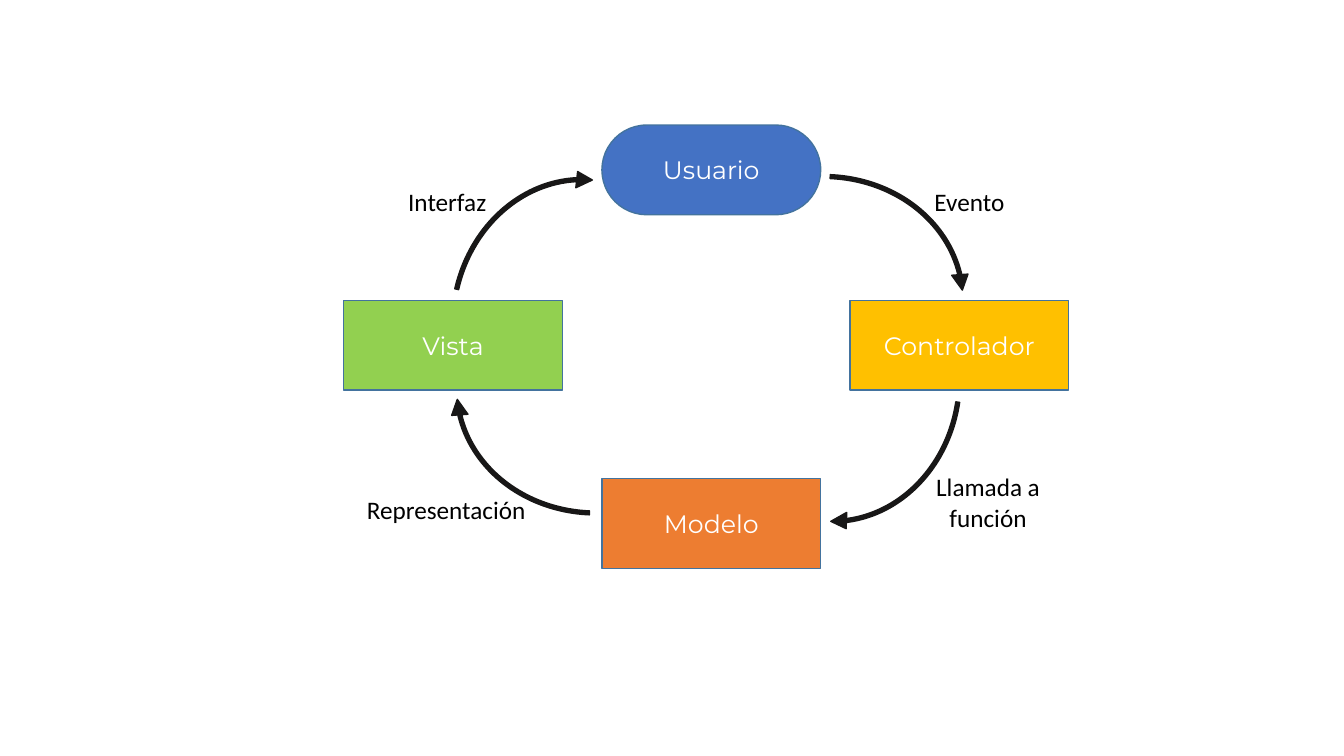
"""Draw the cycle between user, controller, model and view."""
from dataclasses import dataclass

from pptx import Presentation
from pptx.dml.color import RGBColor
from pptx.enum.shapes import MSO_SHAPE
from pptx.enum.text import MSO_ANCHOR, MSO_AUTO_SIZE, PP_ALIGN
from pptx.shapes.autoshape import Shape
from pptx.slide import Slide
from pptx.text.text import TextFrame
from pptx.util import Inches, Pt

WHITE = RGBColor(0xFF, 0xFF, 0xFF)
BLACK = RGBColor(0x00, 0x00, 0x00)
INK = RGBColor(0x18, 0x17, 0x17)
OUTLINE = RGBColor(0x43, 0x73, 0x9E)
BLUE = RGBColor(0x44, 0x72, 0xC4)
GREEN = RGBColor(0x92, 0xD0, 0x50)
YELLOW = RGBColor(0xFF, 0xC0, 0x00)
ORANGE = RGBColor(0xED, 0x7D, 0x31)

NODE_WIDTH, NODE_HEIGHT = 2.17, 0.89
ARROW_WIDTH, ARROW_HEIGHT = 2.92, 2.61
ARROW_THICKNESS, ARROW_HEAD = 1.5 / 100, 3.1 / 100
HEAD_DEGREES, END_DEGREES, START_DEGREES = 6.46, 349.51, 273.02
ADJUSTMENT_PER_DEGREE = 0.6


@dataclass(frozen=True)
class Node:
    text: str
    left: float
    top: float
    color: RGBColor
    preset: MSO_SHAPE = MSO_SHAPE.RECTANGLE


@dataclass(frozen=True)
class Arrow:
    left: float
    top: float
    rotation: float


@dataclass(frozen=True)
class Label:
    text: str
    left: float
    top: float
    width: float
    height: float = 0.4
    alignment: PP_ALIGN = PP_ALIGN.LEFT


NODES = [
    Node("Vista", 3.41, 2.98, GREEN),
    Node("Controlador", 8.43, 2.98, YELLOW),
    Node("Modelo", 5.97, 4.75, ORANGE),
    Node("Usuario", 5.97, 1.24, BLUE, MSO_SHAPE.ROUNDED_RECTANGLE),
]
ARROWS = [
    Arrow(6.71, 1.67, 0),
    Arrow(6.83, 2.49, 96.1),
    Arrow(4.45, 2.56, 180),
    Arrow(4.26, 1.85, 280.5),
]
LABELS = [
    Label("Interfaz", 3.95, 1.8, 0.98),
    Label("Evento", 9.17, 1.8, 0.9),
    Label("Llamada a\nfunción", 9.18, 4.63, 1.24, 0.71, PP_ALIGN.CENTER),
    Label("Representación", 3.54, 4.85, 1.79),
]


def write_text(text_frame: TextFrame, text: str, font_name: str,
               color: RGBColor, alignment: PP_ALIGN) -> None:
    text_frame.text = text
    for paragraph in text_frame.paragraphs:
        paragraph.alignment = alignment
        for run in paragraph.runs:
            run.font.name = font_name
            run.font.size = Pt(18)
            run.font.color.rgb = color


def paint(shape: Shape, fill: RGBColor, line: RGBColor) -> None:
    shape.shadow.inherit = False
    shape.fill.solid()
    shape.fill.fore_color.rgb = fill
    shape.line.color.rgb = line
    shape.line.width = Pt(1)


def add_node(slide: Slide, node: Node) -> None:
    shape = slide.shapes.add_shape(
        node.preset, Inches(node.left), Inches(node.top),
        Inches(NODE_WIDTH), Inches(NODE_HEIGHT))
    if node.preset == MSO_SHAPE.ROUNDED_RECTANGLE:
        shape.adjustments[0] = 0.5
    paint(shape, node.color, OUTLINE)
    shape.text_frame.vertical_anchor = MSO_ANCHOR.MIDDLE
    write_text(shape.text_frame, node.text, "Montserrat", WHITE, PP_ALIGN.CENTER)


def add_arrow(slide: Slide, arrow: Arrow) -> None:
    shape = slide.shapes.add_shape(
        MSO_SHAPE.CIRCULAR_ARROW, Inches(arrow.left), Inches(arrow.top),
        Inches(ARROW_WIDTH), Inches(ARROW_HEIGHT))
    shape.rotation = arrow.rotation
    angles = [degrees * ADJUSTMENT_PER_DEGREE
              for degrees in (HEAD_DEGREES, END_DEGREES, START_DEGREES)]
    for index, value in enumerate([ARROW_THICKNESS, *angles, ARROW_HEAD]):
        shape.adjustments[index] = value
    paint(shape, INK, INK)


def add_label(slide: Slide, label: Label) -> None:
    text_box = slide.shapes.add_textbox(
        Inches(label.left), Inches(label.top),
        Inches(label.width), Inches(label.height))
    text_frame = text_box.text_frame
    text_frame.word_wrap = False
    text_frame.auto_size = MSO_AUTO_SIZE.SHAPE_TO_FIT_TEXT
    write_text(text_frame, label.text, "Calibri", BLACK, label.alignment)


def main() -> None:
    presentation = Presentation()
    presentation.slide_width = Inches(13.33)
    presentation.slide_height = Inches(7.5)
    slide = presentation.slides.add_slide(presentation.slide_layouts[6])
    for node in NODES:
        add_node(slide, node)
    for arrow in ARROWS:
        add_arrow(slide, arrow)
    for label in LABELS:
        add_label(slide, label)
    presentation.save("out.pptx")


if __name__ == "__main__":
    main()
